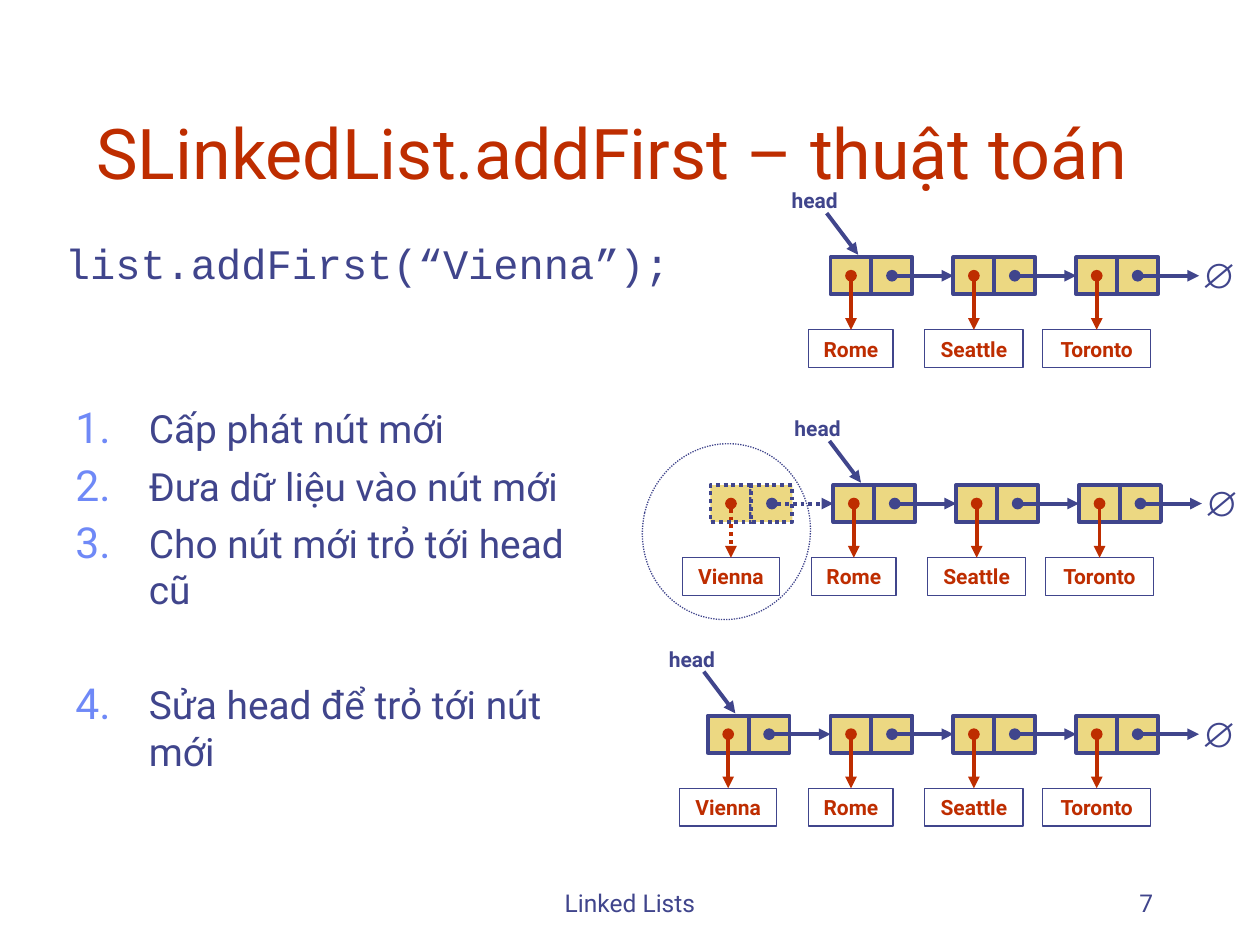
"""Build the slide that explains inserting a node at the head of a linked list."""
from dataclasses import dataclass

from lxml.etree import SubElement
from pptx import Presentation
from pptx.dml.color import RGBColor
from pptx.enum.dml import MSO_LINE
from pptx.enum.shapes import MSO_CONNECTOR, MSO_SHAPE
from pptx.enum.text import MSO_ANCHOR, PP_ALIGN
from pptx.oxml.ns import qn
from pptx.util import Pt


@dataclass(frozen=True)
class Theme:
    ink: str = "40458C"
    accent: str = "BE2D00"
    cell: str = "ECD882"
    number: str = "6F89F7"
    font: str = "Roboto"
    code_font: str = "Courier New"
    symbol_font: str = "Arial"
    title_size: float = 40
    body_size: float = 22.2
    code_size: float = 24
    symbol_size: float = 20
    footer_size: float = 14
    label_size: float = 12
    thick: float = 2.25
    thin: float = 0.75


CELL_WIDTH, CELL_HEIGHT, NODE_PITCH = 23.4, 21.1, 70.2
LABEL_DROP, LABEL_HEIGHT = 41.5, 21.6
LABEL_WIDTHS = {"Vienna": 55.4, "Rome": 48.2, "Seattle": 56.2, "Toronto": 61.9}
CITIES = list(LABEL_WIDTHS)


class SlideBuilder:
    def __init__(self, page, theme):
        self.page = page
        self.theme = theme

    def style(self, paragraph, size, color, font=None, bold=False, align=PP_ALIGN.LEFT):
        paragraph.alignment = align
        paragraph.font.name = font or self.theme.font
        paragraph.font.size = Pt(size)
        paragraph.font.bold = bold
        paragraph.font.color.rgb = RGBColor.from_string(color)

    def text(self, words, left, top, width, height, size, color,
             anchor=MSO_ANCHOR.TOP, wrap=True, **style):
        box = self.page.shapes.add_textbox(Pt(left), Pt(top), Pt(width), Pt(height))
        box.text_frame.word_wrap = wrap
        box.text_frame.vertical_anchor = anchor
        paragraph = box.text_frame.paragraphs[0]
        paragraph.text = words
        self.style(paragraph, size, color, **style)
        return paragraph

    def numbered_list(self, steps, left, top, width, height):
        box = self.page.shapes.add_textbox(Pt(left), Pt(top), Pt(width), Pt(height))
        frame = box.text_frame
        frame.word_wrap = True
        for index, (words, gap) in enumerate(steps):
            paragraph = frame.add_paragraph() if index else frame.paragraphs[0]
            paragraph.text = words
            paragraph.space_before = Pt(gap)
            self.style(paragraph, self.theme.body_size, self.theme.ink)
            self.number(paragraph)

    def number(self, paragraph):
        properties = paragraph._p.get_or_add_pPr()
        properties.set("marL", str(Pt(42)))
        properties.set("indent", str(-Pt(42)))
        color = SubElement(properties, qn("a:buClr"))
        SubElement(color, qn("a:srgbClr"), val=self.theme.number)
        size = SubElement(properties, qn("a:buSzPct"), val="110000")
        kind = SubElement(properties, qn("a:buAutoNum"), type="arabicPeriod")
        for element in (color, size, kind):
            properties.find(qn("a:defRPr")).addprevious(element)

    def outline(self, line, color, width, dotted=False):
        line.color.rgb = RGBColor.from_string(color)
        line.width = Pt(width)
        if dotted:
            line.dash_style = MSO_LINE.ROUND_DOT

    def shape(self, kind, left, top, width, height, fill=None, weight=None, dotted=False):
        shape = self.page.shapes.add_shape(kind, Pt(left), Pt(top), Pt(width), Pt(height))
        shape.shadow.inherit = False
        if fill:
            shape.fill.solid()
            shape.fill.fore_color.rgb = RGBColor.from_string(fill)
        else:
            shape.fill.background()
        self.outline(shape.line, self.theme.ink, weight or self.theme.thin, dotted)
        return shape

    def arrow(self, start, end, color, dotted=False, dot=True, target=None, site=0):
        arrow = self.page.shapes.add_connector(
            MSO_CONNECTOR.STRAIGHT, *(Pt(value) for value in (*start, *end)))
        self.outline(arrow.line, color, self.theme.thick, dotted)
        line = arrow.line._get_or_add_ln()
        if dot:
            SubElement(line, qn("a:headEnd"), type="oval")
        SubElement(line, qn("a:tailEnd"), type="triangle")
        SubElement(arrow._element.spPr, qn("a:effectLst"))
        if target is not None:
            arrow.end_connect(target, site)

    def label(self, city, center, top):
        width = LABEL_WIDTHS[city]
        box = self.shape(MSO_SHAPE.RECTANGLE, center - width / 2, top, width, LABEL_HEIGHT)
        box.text_frame.word_wrap = False
        paragraph = box.text_frame.paragraphs[0]
        paragraph.text = city
        self.style(paragraph, self.theme.label_size, self.theme.accent,
                   bold=True, align=PP_ALIGN.CENTER)
        return box

    def node(self, city, left, top, dotted):
        cell, _ = [
            self.shape(MSO_SHAPE.RECTANGLE, left + side * CELL_WIDTH, top, CELL_WIDTH,
                       CELL_HEIGHT, self.theme.cell, self.theme.thick, dotted)
            for side in range(2)]
        center = left + CELL_WIDTH / 2
        label = self.label(city, center, top + LABEL_DROP)
        self.arrow((center, top + CELL_HEIGHT / 2), (center, top + LABEL_DROP),
                   self.theme.accent, dotted, target=label)
        return cell

    def head(self, left, top):
        self.text("head", left - 31, top - 43.2, 43.9, 21.6, self.theme.label_size,
                  self.theme.ink, wrap=False, bold=True, align=PP_ALIGN.CENTER)
        self.arrow((left - 2.2, top - 25.2), (left + 15.8, top - 1.4),
                   self.theme.ink, dot=False)

    def linked_list(self, cities, left, top, head=0, dotted=()):
        lefts = [left + index * NODE_PITCH for index in range(len(cities) + 1)]
        cells = [self.node(city, x, top, city in dotted) for city, x in zip(cities, lefts)]
        middle = top + CELL_HEIGHT / 2
        for city, x, target in zip(cities, lefts, cells[1:] + [None]):
            self.arrow((x + CELL_WIDTH * 1.5, middle), (x + NODE_PITCH, middle),
                       self.theme.ink, city in dotted, target=target, site=1)
        self.text("∅", lefts[-1] - 5.8, top - 5.5, 30.2, 31.7, self.theme.symbol_size,
                  self.theme.ink, wrap=False, font=self.theme.symbol_font,
                  bold=True, align=PP_ALIGN.CENTER)
        self.head(lefts[head], top)


def main():
    deck = Presentation()
    deck.slide_width, deck.slide_height = Pt(720), Pt(540)
    theme = Theme()
    builder = SlideBuilder(deck.slides.add_slide(deck.slide_layouts[6]), theme)

    builder.text("SLinkedList.addFirst – thuật toán", 48, 24, 612, 90,
                 theme.title_size, theme.accent, anchor=MSO_ANCHOR.BOTTOM)
    code = builder.text("list.addFirst(“Vienna”);", 30, 138, 420, 42,
                        theme.code_size, theme.ink, font=theme.code_font)
    code.line_spacing = 0.8
    code.space_before = Pt(6)
    builder.numbered_list([
        ("Cấp phát nút mới", 6),
        ("Đưa dữ liệu vào nút mới", 6),
        ("Cho nút mới trỏ tới head cũ", 6),
        ("Sửa head để trỏ tới nút mới", 39),
    ], 36, 228, 318, 258)

    builder.linked_list(CITIES[1:], 474.6, 147)
    circle = builder.shape(MSO_SHAPE.OVAL, 367.2, 253.4, 95.8, 100.8, dotted=True)
    circle.rotation = 13
    builder.linked_list(CITIES, 406, 277.2, head=1, dotted=CITIES[:1])
    builder.linked_list(CITIES, 404.4, 409)

    for words, left, width, align in (("Linked Lists", 246, 228, PP_ALIGN.CENTER),
                                      ("7", 516, 150, PP_ALIGN.RIGHT)):
        builder.text(words, left, 492, width, 36, theme.footer_size, theme.ink,
                     anchor=MSO_ANCHOR.BOTTOM, align=align)
    deck.save("out.pptx")


if __name__ == "__main__":
    main()
